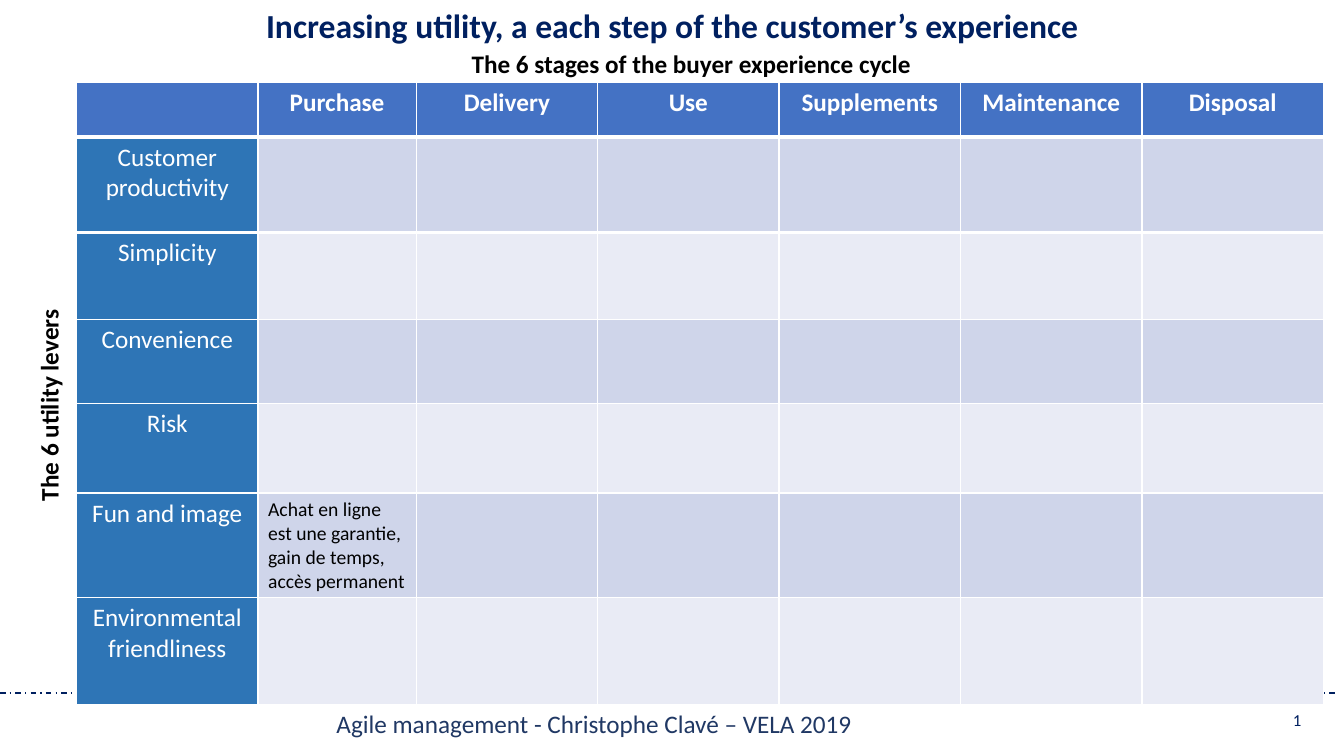
from lxml import etree
from pptx import Presentation
from pptx.dml.color import RGBColor
from pptx.enum import dml, shapes, text
from pptx.oxml.ns import qn
from pptx.util import Pt

NAVY = RGBColor(0x00, 0x20, 0x60)
FOOTER_BLUE = RGBColor(0x20, 0x38, 0x64)
HEADER_BLUE = RGBColor(0x44, 0x72, 0xC4)
LEVER_BLUE = RGBColor(0x2E, 0x75, 0xB6)
BANDS = (RGBColor(0xCF, 0xD5, 0xEA), RGBColor(0xE9, 0xEB, 0xF5))
WHITE = RGBColor(0xFF, 0xFF, 0xFF)
BLACK = RGBColor(0x00, 0x00, 0x00)

STAGES = ["Purchase", "Delivery", "Use", "Supplements", "Maintenance", "Disposal"]
LEVERS = ["Customer productivity", "Simplicity", "Convenience", "Risk",
          "Fun and image", "Environmental friendliness"]
NOTES = {("Fun and image", "Purchase"):
         "Achat en ligne est une garantie, gain de temps, accès permanent"}
ROW_HEIGHTS = [39, 68.2, 62.2, 60.1, 63.7, 66, 76.6]
COL_WIDTHS = [129.6, 113] + [129.6] * 5


def write(tf, words, size=18, color=BLACK, bold=False, align=text.PP_ALIGN.CENTER):
    """Write one formatted paragraph into a text frame."""
    p = tf.paragraphs[0]
    p.alignment = align
    r = p.add_run()
    r.text = words
    r.font.name = "Calibri"
    r.font.size = Pt(size)
    r.font.bold = bold
    r.font.color.rgb = color


def add_label(s, box, words, wrap=True, rotation=0, **fmt):
    """Add a text box in the given box and return it."""
    sp = s.shapes.add_textbox(*map(Pt, box))
    sp.rotation = rotation
    sp.text_frame.word_wrap = wrap
    write(sp.text_frame, words, **fmt)
    return sp


def add_title(s, box, words):
    """Place and format the title placeholder."""
    sp = s.shapes.title
    sp.left, sp.top, sp.width, sp.height = map(Pt, box)
    tf = sp.text_frame
    tf.auto_size = text.MSO_AUTO_SIZE.NONE
    tf.vertical_anchor = text.MSO_ANCHOR.TOP
    write(tf, words, size=24, color=NAVY, bold=True)


def add_footer(s, box):
    """Draw the dashed rule, the footer text and the page number."""
    x, y, w, h = box
    rule = s.shapes.add_connector(shapes.MSO_CONNECTOR.STRAIGHT,
                                  Pt(x), Pt(y), Pt(x + w), Pt(y))
    rule.line.color.rgb = NAVY
    rule.line.width = Pt(1)
    rule.line.dash_style = dml.MSO_LINE.DASH_DOT
    etree.SubElement(rule._element.spPr, qn("a:effectLst"))
    add_label(s, (x + 233.3, y + 7.6, 388, h), "Agile management - Christophe Clavé – VELA 2019",
              wrap=False, color=FOOTER_BLUE, align=text.PP_ALIGN.LEFT)
    number = add_label(s, (x + 900.7, y + 4.7, 36, h), "1",
                       size=12, color=NAVY, align=text.PP_ALIGN.RIGHT)
    number.text_frame.vertical_anchor = text.MSO_ANCHOR.MIDDLE


def fill_cell(cell, color):
    """Give a table cell a solid fill."""
    cell.fill.solid()
    cell.fill.fore_color.rgb = color


def set_border(cell, side, width):
    """Give one side of a table cell a white border."""
    ln = etree.Element(qn(f"a:{side}"), w=str(Pt(width)))
    fill = etree.SubElement(ln, qn("a:solidFill"))
    etree.SubElement(fill, qn("a:srgbClr"), val=str(WHITE))
    cell._tc.get_or_add_tcPr().insert(0, ln)


def add_utility_map(s, box):
    """Add the table of utility levers by experience stage."""
    table = s.shapes.add_table(len(ROW_HEIGHTS), len(COL_WIDTHS), *map(Pt, box)).table
    for row, height in zip(table.rows, ROW_HEIGHTS):
        row.height = Pt(height)
    for col, width in zip(table.columns, COL_WIDTHS):
        col.width = Pt(width)
    for j, stage in enumerate([""] + STAGES):
        cell = table.cell(0, j)
        fill_cell(cell, HEADER_BLUE)
        set_border(cell, "lnB", 3)
        set_border(table.cell(1, j), "lnT", 3)
        if stage:
            write(cell.text_frame, stage, color=WHITE, bold=True)
    for i, lever in enumerate(LEVERS, 1):
        fill_cell(table.cell(i, 0), LEVER_BLUE)
        write(table.cell(i, 0).text_frame, lever, color=WHITE)
        for j, stage in enumerate(STAGES, 1):
            cell = table.cell(i, j)
            fill_cell(cell, BANDS[(i - 1) % 2])
            if (lever, stage) in NOTES:
                write(cell.text_frame, NOTES[lever, stage], size=14,
                      align=text.PP_ALIGN.LEFT)


def main():
    """Build the slide and save it."""
    prs = Presentation()
    prs.slide_width, prs.slide_height = Pt(960), Pt(540)
    s = prs.slides.add_slide(prs.slide_layouts[5])
    add_footer(s, (0, 495, 954, 29))
    add_title(s, (2.9, 0, 954.7, 36), "Increasing utility, a each step of the customer’s experience")
    add_utility_map(s, (54.7, 59, sum(COL_WIDTHS), sum(ROW_HEIGHTS)))
    add_label(s, (327.6, 31, 332.6, 29), "The 6 stages of the buyer experience cycle", bold=True)
    add_label(s, (-53.3, 275, 176.4, 29), "The 6 utility levers", rotation=270, bold=True)
    prs.save("out.pptx")


if __name__ == "__main__":
    main()
